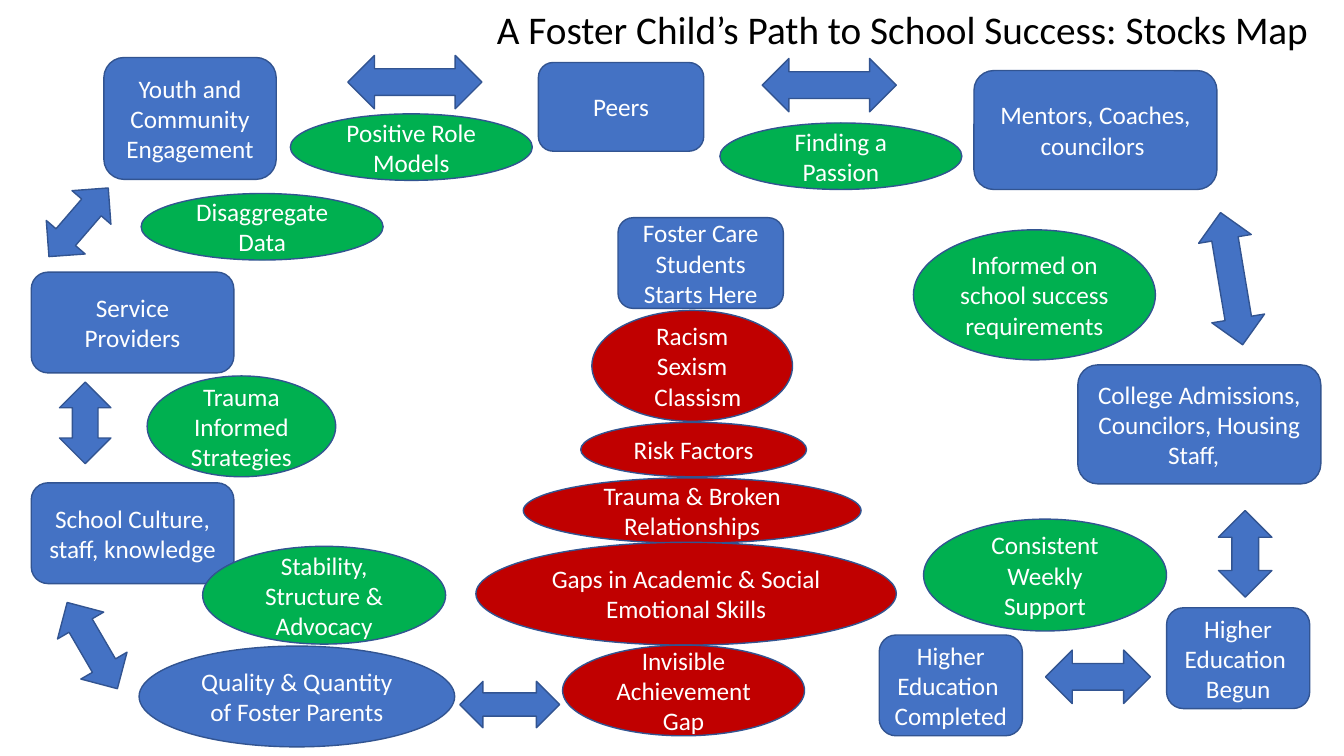
from dataclasses import dataclass

from pptx import Presentation
from pptx.dml.color import RGBColor
from pptx.enum.shapes import MSO_SHAPE
from pptx.enum.text import MSO_ANCHOR, MSO_AUTO_SIZE, PP_ALIGN
from pptx.util import Inches, Pt

STOCK = MSO_SHAPE.ROUNDED_RECTANGLE
OVAL = MSO_SHAPE.OVAL
ARROW = MSO_SHAPE.LEFT_RIGHT_ARROW
MIDDLE, TOP = MSO_ANCHOR.MIDDLE, MSO_ANCHOR.TOP
CENTER, RIGHT = PP_ALIGN.CENTER, PP_ALIGN.RIGHT
NO_AUTOFIT = MSO_AUTO_SIZE.NONE

BLUE, GREEN, RED = "4472C4", "00B050", "C00000"
OUTLINE, WHITE, BLACK = "325491", "FFFFFF", "000000"
TITLE_ONLY = 5


@dataclass(frozen=True)
class Node:
    text: str
    left: float
    top: float
    width: float
    height: float
    kind: int = STOCK
    fill: str = BLUE


@dataclass(frozen=True)
class Arrow:
    left: float
    top: float
    width: float
    height: float = 0.53
    rotation: float = 0


NODES = [
    Node("Foster Care Students Starts Here", 6.13, 2.16, 1.64, 0.9),
    Node("Peers", 5.34, 0.62, 1.64, 0.88),
    Node("Trauma Informed Strategies", 1.46, 3.73, 1.87, 1, OVAL, GREEN),
    Node("Trauma & Broken Relationships", 5.19, 4.74, 3.35, 0.65, OVAL, RED),
    Node("Gaps in Academic & Social Emotional Skills", 4.72, 5.38, 4.17, 1.02, OVAL, RED),
    Node("Invisible Achievement Gap", 5.58, 6.4, 2.4, 0.9, OVAL, RED),
    Node("Disaggregate Data", 1.4, 1.92, 2.4, 0.66, OVAL, GREEN),
    Node("Racism Sexism\n  Classism", 5.87, 3.08, 1.99, 1.1, OVAL, RED),
    Node("Youth and Community Engagement", 1.03, 0.57, 1.71, 1.21),
    Node("School Culture, staff, knowledge", 0.31, 4.79, 2.01, 1),
    Node("Higher\nEducation \nBegun", 11.57, 6.03, 1.42, 1),
    Node("Risk Factors", 5.76, 4.19, 2.24, 0.54, OVAL, RED),
    Node("Quality & Quantity of Foster Parents", 1.38, 6.41, 3.13, 1, OVAL),
    Node("Service Providers", 0.31, 2.7, 2.01, 1),
    Node("Mentors, Coaches, councilors ", 9.66, 0.7, 2.41, 1.18),
    Node("College Admissions, Councilors, Housing Staff,  ", 10.69, 3.62, 2.41, 1.18),
    Node("Higher\nEducation \nCompleted", 8.72, 6.3, 1.42, 1),
    Node("Stability, Structure & Advocacy", 2.01, 5.42, 2.41, 0.97, OVAL, GREEN),
    Node("Consistent Weekly Support", 9.16, 5.15, 2.41, 1.11, OVAL, GREEN),
    Node("Positive Role Models", 2.88, 1.13, 2.4, 0.66, OVAL, GREEN),
    Node("Finding a Passion", 7.14, 1.22, 2.4, 0.66, OVAL, GREEN),
    Node("Informed on school success requirements", 9.06, 2.28, 2.4, 1.29, OVAL, GREEN),
]

ARROWS = [
    Arrow(3.45, 0.55, 1.33),
    Arrow(4.56, 6.76, 0.99, 0.46),
    Arrow(0.44, 3.94, 0.81, 0.51, 270),
    Arrow(0.33, 1.95, 0.9, 0.51, 310.8),
    Arrow(7.56, 0.58, 1.33),
    Arrow(0.42, 6.14, 0.99, rotation=59.8),
    Arrow(11.55, 2.5, 1.33, rotation=80.5),
    Arrow(11.92, 5.23, 0.86, rotation=90),
    Arrow(10.37, 6.45, 1.04),
]


def color(value: str) -> RGBColor:
    return RGBColor.from_string(value)


def set_attributes(target, values: dict) -> None:
    for name, value in values.items():
        setattr(target, name, value)


def write_text(shape, text: str, size: int, ink: str, align, anchor) -> None:
    frame = shape.text_frame
    frame.text = text
    set_attributes(frame, {"word_wrap": True, "auto_size": NO_AUTOFIT, "vertical_anchor": anchor})
    for para in frame.paragraphs:
        para.alignment = align
        for span in para.runs:
            set_attributes(span.font, {"name": "Calibri", "size": Pt(size)})
            span.font.color.rgb = color(ink)


def add_outlined(page, kind, item: Node | Arrow, fill: str):
    shape = page.shapes.add_shape(
        kind, Inches(item.left), Inches(item.top), Inches(item.width), Inches(item.height))
    shape.shadow.inherit = False
    shape.fill.solid()
    shape.fill.fore_color.rgb = color(fill)
    shape.line.color.rgb = color(OUTLINE)
    shape.line.width = Pt(1)
    return shape


def add_title(page, text: str) -> None:
    title = page.shapes.title
    set_attributes(title, {"left": Inches(0.4), "top": Inches(0),
                           "width": Inches(12.76), "height": Inches(0.57)})
    write_text(title, text, 28, BLACK, RIGHT, TOP)


def main() -> None:
    deck = Presentation()
    set_attributes(deck, {"slide_width": Inches(13.33), "slide_height": Inches(7.5)})
    page = deck.slides.add_slide(deck.slide_layouts[TITLE_ONLY])
    add_title(page, "A Foster Child’s Path to School Success: Stocks Map ")
    for node in NODES:
        box = add_outlined(page, node.kind, node, node.fill)
        write_text(box, node.text, 18, WHITE, CENTER, MIDDLE)
    for arrow in ARROWS:
        add_outlined(page, ARROW, arrow, BLUE).rotation = arrow.rotation
    deck.save("out.pptx")


if __name__ == "__main__":
    main()
